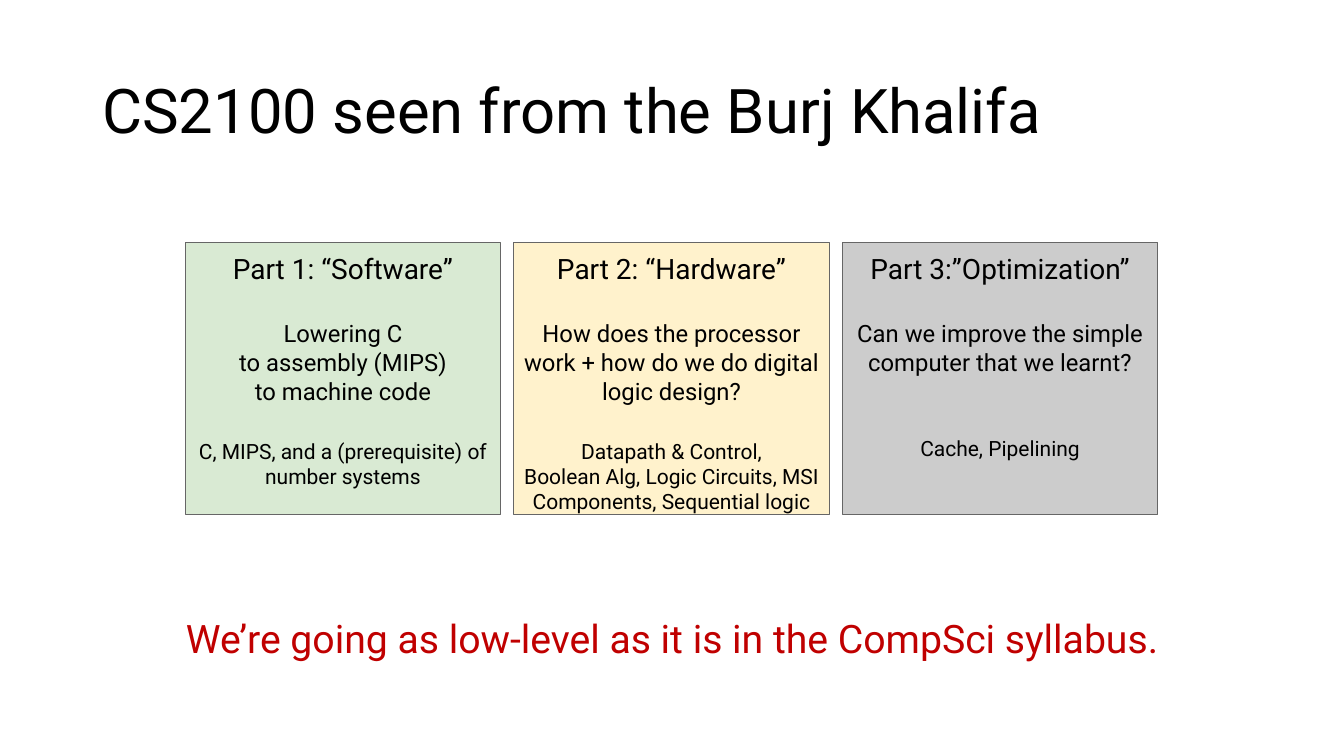
from copy import deepcopy
from dataclasses import dataclass

from pptx import Presentation
from pptx.dml.color import RGBColor
from pptx.enum.shapes import MSO_SHAPE as Preset
from pptx.enum.text import MSO_ANCHOR as Anchor, PP_ALIGN as Align
from pptx.slide import Slide
from pptx.text.text import TextFrame
from pptx.util import Cm, Pt

FONT = "Roboto"
BLACK = RGBColor(0x00, 0x00, 0x00)
RED = RGBColor(0xC0, 0x00, 0x00)
GREEN = RGBColor(0xD9, 0xEA, 0xD3)
YELLOW = RGBColor(0xFF, 0xF2, 0xCC)
GRAY = RGBColor(0xCC, 0xCC, 0xCC)
BORDER = RGBColor(0x66, 0x66, 0x66)

# Card row, in centimetres
CARD_LEFT, CARD_TOP = 4.67, 6.1
CARD_WIDTH, CARD_HEIGHT = 7.95, 6.86
CARD_STEP = 8.28
CARD_INSET = 0.25


@dataclass
class CoursePart:
    heading: str
    question: str
    topics: str
    fill: RGBColor
    topics_gap: float = 24


COURSE_PARTS = [
    CoursePart("Part 1: “Software”",
               "Lowering C\nto assembly (MIPS)\nto machine code",
               "C, MIPS, and a (prerequisite) of number systems", GREEN),
    CoursePart("Part 2: “Hardware”",
               "How does the processor work + how do we do digital logic design?",
               "Datapath & Control,\nBoolean Alg, Logic Circuits, MSI Components, "
               "Sequential logic", YELLOW),
    CoursePart("Part 3:”Optimization”",
               "Can we improve the simple computer that we learnt?",
               "Cache, Pipelining", GRAY, topics_gap=42),
]


def write_paragraph(frame: TextFrame, text: str, *, size: float,
                    color: RGBColor = BLACK, align: Align = Align.CENTER,
                    line_spacing: float = 1.0, space_before: float = 0) -> None:
    """Fill the empty first paragraph, or append one; newlines break lines."""
    paragraph = frame.paragraphs[0]
    if paragraph.runs:
        paragraph = frame.add_paragraph()
    paragraph.alignment = align
    paragraph.line_spacing = line_spacing
    paragraph.space_before = Pt(space_before)
    for index, line in enumerate(text.split("\n")):
        if index:
            paragraph.add_line_break()
        run = paragraph.add_run()
        run.text = line
        run.font.name = FONT
        run.font.size = Pt(size)
        run.font.color.rgb = color
        if index:
            # The line break takes the format of the text after it
            line_break = run._r.getprevious()
            line_break.append(deepcopy(run._r.rPr))


def add_text_box(slide: Slide, top: float, height: float, anchor: Anchor) -> TextFrame:
    """Add a wrapping text box across the content width."""
    box = slide.shapes.add_textbox(Cm(2.33), Cm(top), Cm(29.21), Cm(height))
    frame = box.text_frame
    frame.word_wrap = True
    frame.vertical_anchor = anchor
    return frame


def add_card(slide: Slide, part: CoursePart, left: float) -> None:
    """Draw one course part as a bordered card."""
    shape = slide.shapes.add_shape(Preset.RECTANGLE, Cm(left), Cm(CARD_TOP),
                                   Cm(CARD_WIDTH), Cm(CARD_HEIGHT))
    shape.shadow.inherit = False
    shape.fill.solid()
    shape.fill.fore_color.rgb = part.fill
    shape.line.color.rgb = BORDER
    shape.line.width = Pt(0.75)
    frame = shape.text_frame
    frame.word_wrap = True
    frame.vertical_anchor = Anchor.TOP
    frame.margin_left = frame.margin_right = Cm(CARD_INSET)
    frame.margin_top = frame.margin_bottom = Cm(CARD_INSET)
    write_paragraph(frame, part.heading, size=20)
    write_paragraph(frame, part.question, size=17, space_before=24)
    write_paragraph(frame, part.topics, size=15, space_before=part.topics_gap)


def main() -> None:
    presentation = Presentation()
    presentation.slide_width = Cm(33.87)
    presentation.slide_height = Cm(19.05)
    slide = presentation.slides.add_slide(presentation.slide_layouts[6])

    # Title
    title = add_text_box(slide, 1.02, 3.68, Anchor.MIDDLE)
    write_paragraph(title, "CS2100 seen from the Burj Khalifa", size=44,
                    align=Align.LEFT, line_spacing=0.9)

    # Takeaway
    takeaway = add_text_box(slide, 15.49, 1.65, Anchor.TOP)
    write_paragraph(takeaway,
                    "We’re going as low-level as it is in the CompSci syllabus.",
                    size=28, color=RED, line_spacing=0.9)

    # Course parts
    for index, part in enumerate(COURSE_PARTS):
        add_card(slide, part, CARD_LEFT + index * CARD_STEP)

    presentation.save("out.pptx")


if __name__ == "__main__":
    main()
